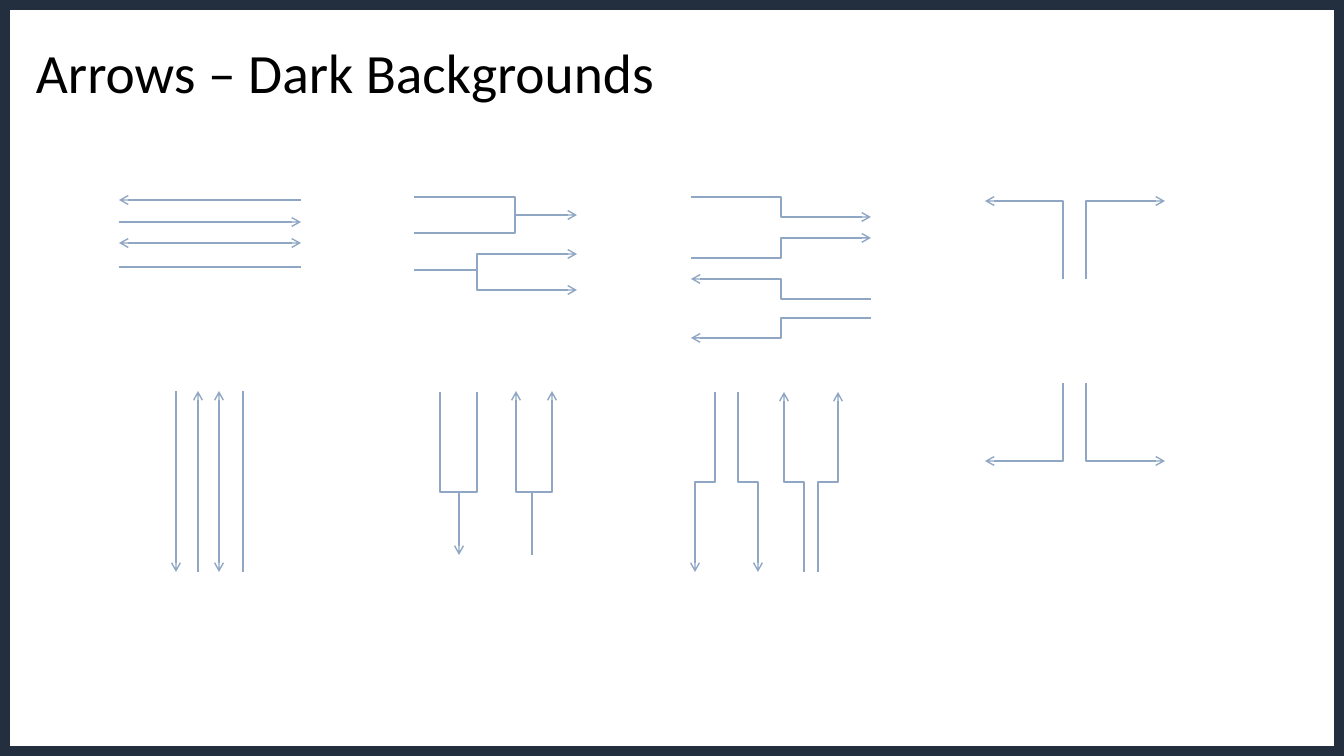
"""Build a slide showing arrow styles intended for dark backgrounds."""

from dataclasses import dataclass

import lxml.etree
import pptx
import pptx.dml.color
import pptx.enum.shapes
import pptx.enum.text
import pptx.oxml.ns
import pptx.util

SLIDE_WIDTH, SLIDE_HEIGHT = 1344, 756
EMU_PER_PX = 12192000 / SLIDE_WIDTH
ARROW_COLOR = "8FA7C4"
FRAME_COLOR = "232F3E"
TITLE_COLOR = "000000"
TITLE_FONT = "Calibri"

Point = tuple[int, int]


@dataclass(frozen=True)
class Arrow:
    start: Point
    end: Point
    head: bool = False
    tail: bool = False


@dataclass(frozen=True)
class Path:
    points: tuple[Point, ...]
    head: bool = False
    tail: bool = False


@dataclass(frozen=True)
class Fork:
    bracket: Path
    stem: Arrow


ARROW_ENDS = ((True, False), (False, True), (True, True), (False, False))
PARALLEL_OFFSETS = (0, 22, 43, 67)

HORIZONTAL_ARROWS = [
    Arrow((119, 200 + offset), (301, 200 + offset), head, tail)
    for offset, (head, tail) in zip(PARALLEL_OFFSETS, ARROW_ENDS)
]
VERTICAL_ARROWS = [
    Arrow((176 + offset, 572), (176 + offset, 391), head, tail)
    for offset, (head, tail) in zip(PARALLEL_OFFSETS, ARROW_ENDS)
]

HORIZONTAL_STEPS = [
    Arrow((691, 197), (871, 217), tail=True),
    Arrow((691, 258), (871, 238), tail=True),
    Arrow((691, 279), (871, 299), head=True),
    Arrow((691, 338), (871, 318), head=True),
]
VERTICAL_STEPS = [
    Arrow((715, 392), (695, 572), tail=True),
    Arrow((738, 392), (758, 572), tail=True),
    Arrow((838, 392), (818, 572), head=True),
    Arrow((784, 392), (804, 572), head=True),
]

FORKS = [
    Fork(Path(((414, 197), (515, 197), (515, 233), (414, 233))),
         Arrow((515, 215), (577, 215), tail=True)),
    Fork(Path(((577, 290), (477, 290), (477, 254), (577, 254)), True, True),
         Arrow((414, 270), (477, 270))),
    Fork(Path(((477, 392), (477, 492), (440, 492), (440, 392))),
         Arrow((459, 492), (459, 555), tail=True)),
    Fork(Path(((552, 391), (552, 492), (516, 492), (516, 391)), True, True),
         Arrow((532, 555), (532, 492))),
]

CORNERS = [
    Path(((inner, start_y), (inner, turn_y), (outer, turn_y)), tail=True)
    for start_y, turn_y in ((279, 201), (383, 461))
    for inner, outer in ((1086, 1165), (1063, 985))
]


def px(length: float) -> int:
    """Convert pixels to EMU."""
    return round(length * EMU_PER_PX)


def color(value: str) -> pptx.dml.color.RGBColor:
    """Convert a hex string to a colour."""
    return pptx.dml.color.RGBColor.from_string(value)


def style_line(shape, head: bool, tail: bool) -> None:
    """Give a line its colour, width and arrowheads."""
    shape.line.color.rgb = color(ARROW_COLOR)
    shape.line.width = pptx.util.Pt(1)
    outline = shape._element.spPr.find(pptx.oxml.ns.qn("a:ln"))
    for tag, shown in (("a:headEnd", head), ("a:tailEnd", tail)):
        if shown:
            end = lxml.etree.SubElement(outline, pptx.oxml.ns.qn(tag))
            end.set("type", "arrow")


def add_connector(shapes, kind, arrow: Arrow):
    """Add a connector without a shadow."""
    connector = shapes.add_connector(
        kind, *map(px, arrow.start), *map(px, arrow.end))
    style_line(connector, arrow.head, arrow.tail)
    lxml.etree.SubElement(
        connector._element.spPr, pptx.oxml.ns.qn("a:effectLst"))
    return connector


def add_straight(shapes, arrow: Arrow) -> None:
    """Add a straight arrow."""
    add_connector(shapes, pptx.enum.shapes.MSO_CONNECTOR.STRAIGHT, arrow)


def add_step(shapes, step: Arrow) -> None:
    """Add an elbow arrow that leaves horizontally."""
    add_connector(shapes, pptx.enum.shapes.MSO_CONNECTOR.ELBOW, step)


def add_vertical_step(shapes, step: Arrow) -> None:
    """Add an elbow arrow that leaves vertically, by a quarter turn."""
    (x1, y1), (x2, y2) = step.start, step.end
    center_x, center_y = (x1 + x2) // 2, (y1 + y2) // 2
    half_run, half_shift = (y2 - y1) // 2, (x2 - x1) // 2
    level = Arrow((center_x - half_run, center_y + half_shift),
                  (center_x + half_run, center_y - half_shift),
                  step.head, step.tail)
    connector = add_connector(
        shapes, pptx.enum.shapes.MSO_CONNECTOR.ELBOW, level)
    connector._element.spPr.find(
        pptx.oxml.ns.qn("a:xfrm")).set("rot", "5400000")


def add_path(shapes, route: Path) -> None:
    """Add an open, unfilled outline."""
    start, *others = route.points
    builder = shapes.build_freeform(*start, scale=EMU_PER_PX)
    builder.add_line_segments(others, close=False)
    outline = builder.convert_to_shape()
    outline.fill.background()
    outline.shadow.inherit = False
    style_line(outline, route.head, route.tail)


def add_fork(shapes, fork: Fork) -> None:
    """Add a bracket and its stem as one group."""
    group = shapes.add_group_shape()
    add_path(group.shapes, fork.bracket)
    add_straight(group.shapes, fork.stem)


def add_frame(shapes) -> None:
    """Add the border around the slide."""
    frame = shapes.add_shape(pptx.enum.shapes.MSO_SHAPE.RECTANGLE,
                             0, 0, px(SLIDE_WIDTH), px(SLIDE_HEIGHT))
    frame.fill.background()
    frame.line.color.rgb = color(FRAME_COLOR)
    frame.line.width = pptx.util.Pt(14)
    frame.shadow.inherit = False


def add_title(shapes, text: str) -> None:
    """Add the slide title."""
    title = shapes.add_textbox(px(26), px(40), px(1291), px(71)).text_frame
    title.word_wrap = True
    title.vertical_anchor = pptx.enum.text.MSO_ANCHOR.MIDDLE
    paragraph = title.paragraphs[0]
    paragraph.line_spacing = 0.9
    run = paragraph.add_run()
    run.text = text
    run.font.name = TITLE_FONT
    run.font.size = pptx.util.Pt(39.6)
    run.font.color.rgb = color(TITLE_COLOR)


def main() -> None:
    """Build and save the slide."""
    presentation = pptx.Presentation()
    presentation.slide_width = px(SLIDE_WIDTH)
    presentation.slide_height = px(SLIDE_HEIGHT)
    shapes = presentation.slides.add_slide(presentation.slide_layouts[6]).shapes
    add_frame(shapes)
    add_title(shapes, "Arrows – Dark Backgrounds")
    for draw, items in ((add_straight, HORIZONTAL_ARROWS),
                        (add_step, HORIZONTAL_STEPS),
                        (add_straight, VERTICAL_ARROWS),
                        (add_vertical_step, VERTICAL_STEPS),
                        (add_fork, FORKS),
                        (add_path, CORNERS)):
        for item in items:
            draw(shapes, item)
    presentation.save("out.pptx")


if __name__ == "__main__":
    main()
